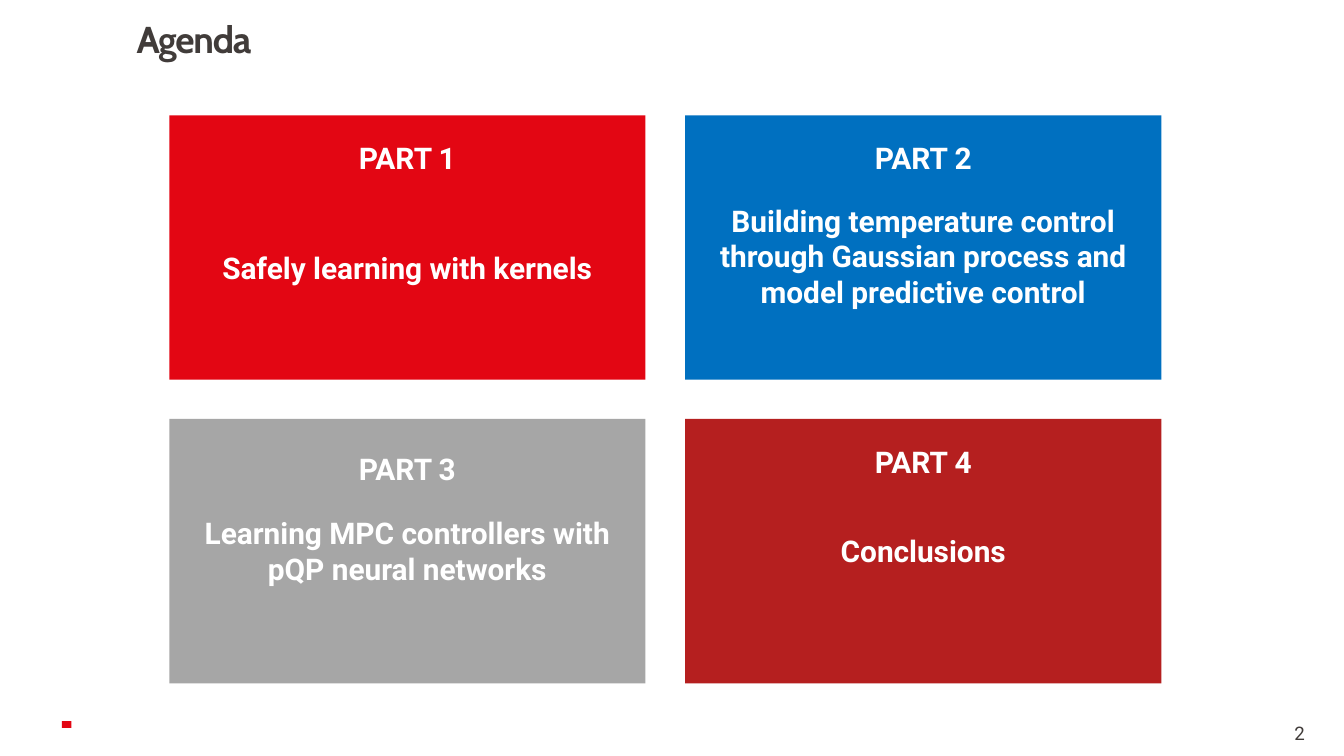
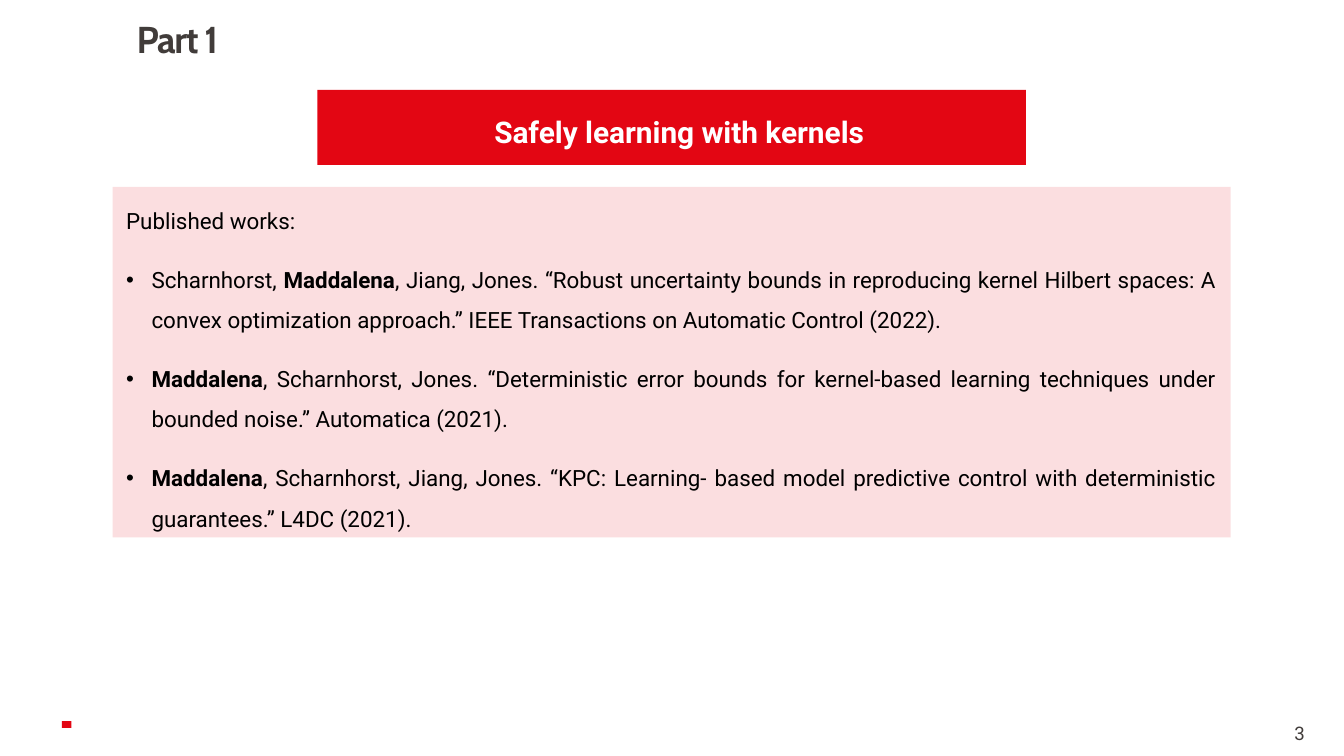
from dataclasses import dataclass

from lxml import etree
from pptx import Presentation
from pptx.dml.color import RGBColor
from pptx.enum import shapes, text
from pptx.oxml.ns import qn
from pptx.util import Cm, Pt

# Shared look
RED = RGBColor(0xE3, 0x06, 0x13)
BLUE = RGBColor(0x00, 0x70, 0xC0)
GREY = RGBColor(0xA6, 0xA6, 0xA6)
DARK_RED = RGBColor(0xB5, 0x1F, 0x1F)
INK = RGBColor(0x41, 0x3C, 0x3A)
BLACK = RGBColor(0x00, 0x00, 0x00)
WHITE = RGBColor(0xFF, 0xFF, 0xFF)
TITLE_FONT, BODY_FONT = "Cabin", "Roboto"
CENTER = text.PP_ALIGN.CENTER
TITLE_ONLY, TITLE_AND_CONTENT = 5, 1

# Agenda grid, in cm
CARD_W, CARD_H = 9, 5
GRID_LEFT, GRID_TOP = 3.2, 2.18
COLUMN_STEP, ROW_STEP = 9.75, 5.74
HEADING_LINE = Pt(32.4)


@dataclass
class Part:
    heading: str
    topic: str
    color: RGBColor
    topic_top: float  # below the top of the card
    topic_height: float
    inset_top: float = 0
    topic_spacing: float = 1.0


PARTS = [
    Part("PART 1", "Safely learning with kernels", RED, 2.08, 1.19, topic_spacing=1.5),
    Part("PART 2", "Building temperature control through Gaussian process and "
         "model predictive control", BLUE, 1.52, 2.31),
    Part("PART 3", "Learning MPC controllers with pQP neural networks",
         GREY, 1.68, 1.63, inset_top=0.13),
    Part("PART 4", "Conclusions", DARK_RED, 2.03, 0.94),
]

# Each work: text before the highlighted author, the author, the rest
WORKS = [
    ("Scharnhorst, ", "Maddalena",
     ", Jiang, Jones. “Robust uncertainty bounds in reproducing kernel Hilbert spaces: "
     "A convex optimization approach.” IEEE Transactions on Automatic Control (2022)."),
    ("", "Maddalena",
     ", Scharnhorst, Jones. “Deterministic error bounds for kernel-based learning "
     "techniques under bounded noise.” Automatica (2021)."),
    ("", "Maddalena",
     ", Scharnhorst, Jiang, Jones. “KPC: Learning- based model predictive control "
     "with deterministic guarantees.” L4DC (2021)."),
]


def place(shape, left, top, width, height):
    shape.left, shape.top = Cm(left), Cm(top)
    shape.width, shape.height = Cm(width), Cm(height)


def set_insets(frame, left, top, right, bottom):
    frame.margin_left, frame.margin_top = Cm(left), Cm(top)
    frame.margin_right, frame.margin_bottom = Cm(right), Cm(bottom)


def set_font(paragraph, size, color, bold=False, name=BODY_FONT):
    font = paragraph.font
    font.name, font.size, font.bold = name, Pt(size), bold
    font.color.rgb = color


def write_line(frame, words, size, color, bold=True, spacing=1.0):
    frame.word_wrap = True
    line = frame.paragraphs[0]
    line.text, line.alignment, line.line_spacing = words, CENTER, spacing
    set_font(line, size, color, bold)


def add_block(slide, left, top, width, height, color):
    block = slide.shapes.add_shape(shapes.MSO_SHAPE.RECTANGLE, Cm(left), Cm(top),
                                   Cm(width), Cm(height))
    block.shadow.inherit = False
    block.fill.solid()
    block.fill.fore_color.rgb = color
    block.line.fill.background()
    block.text_frame.vertical_anchor = text.MSO_ANCHOR.TOP
    return block


def add_label(slide, left, top, width, height):
    return slide.shapes.add_textbox(Cm(left), Cm(top), Cm(width), Cm(height)).text_frame


def add_slide(deck, layout, heading, number):
    """Start a slide with its title, corner mark and page number."""
    slide = deck.slides.add_slide(deck.slide_layouts[layout])
    add_block(slide, 1.17, 13.63, 0.18, 0.13, RED)

    title = slide.shapes.title
    place(title, 2.08, 0.23, 12.09, 1.12)
    frame = title.text_frame
    frame.auto_size = text.MSO_AUTO_SIZE.NONE
    frame.vertical_anchor = text.MSO_ANCHOR.MIDDLE
    set_insets(frame, 0.5, 0, 0.2, 0.13)
    line = frame.paragraphs[0]
    line.text, line.alignment = heading, text.PP_ALIGN.LEFT
    set_font(line, 20, INK, bold=True, name=TITLE_FONT)
    line._p.pPr.find(qn("a:defRPr")).set("spc", "-70")

    page = add_label(slide, 23.85, 13.64, 1.42, 0.46)
    set_insets(page, 0.25, 0, 0.25, 0)
    write_line(page, str(number), 10, INK, bold=False)
    return slide


def add_part_card(slide, index, part):
    row, column = divmod(index, 2)
    left = GRID_LEFT + column * COLUMN_STEP
    top = GRID_TOP + row * ROW_STEP
    card = add_block(slide, left, top, CARD_W, CARD_H, part.color).text_frame
    set_insets(card, 0.25, part.inset_top, 0.25, 0.3)
    write_line(card, part.heading, 16, WHITE, spacing=HEADING_LINE)
    topic = add_label(slide, left, top + part.topic_top, CARD_W, part.topic_height)
    write_line(topic, part.topic, 16, WHITE, spacing=part.topic_spacing)


def add_banner(slide, words):
    banner = add_block(slide, 6, 1.7, 13.39, 1.42, RED).text_frame
    banner.vertical_anchor = text.MSO_ANCHOR.MIDDLE
    set_insets(banner, 0.54, 0, 0.25, 0.3)
    write_line(banner, words, 16, WHITE, spacing=HEADING_LINE)


def set_bullet(paragraph, bulleted):
    properties = paragraph._p.get_or_add_pPr()
    indent = Cm(0.48) if bulleted else 0
    properties.set("marL", str(indent))
    properties.set("indent", str(-indent))
    if bulleted:
        etree.SubElement(properties, qn("a:buFont")).set("typeface", "Arial")
        etree.SubElement(properties, qn("a:buChar")).set("char", "•")
    else:
        etree.SubElement(properties, qn("a:buNone"))


def add_works(slide, intro, works):
    panel = slide.placeholders[1]
    place(panel, 2.13, 3.53, 21.13, 6.63)
    panel.fill.solid()
    panel.fill.fore_color.rgb = RED
    tint = panel._element.spPr.find(".//" + qn("a:srgbClr"))
    etree.SubElement(tint, qn("a:alpha")).set("val", "13000")

    frame = panel.text_frame
    frame.auto_size = text.MSO_AUTO_SIZE.NONE
    frame.vertical_anchor = text.MSO_ANCHOR.TOP
    for index, (before, author, after) in enumerate([(intro, "", ""), *works]):
        entry = frame.add_paragraph() if index else frame.paragraphs[0]
        entry.alignment = text.PP_ALIGN.JUSTIFY
        entry.line_spacing = 1.5
        entry.space_before, entry.space_after = Pt(0), Pt(10)
        set_bullet(entry, bulleted=index > 0)
        set_font(entry, 12, BLACK)
        for words in filter(None, (before, author, after)):
            run = entry.add_run()
            run.text = words
            if words == author:
                run.font.bold = True


def main():
    deck = Presentation()
    deck.slide_width, deck.slide_height = Cm(25.4), Cm(14.29)

    # Agenda
    agenda = add_slide(deck, TITLE_ONLY, "Agenda", 2)
    for index, part in enumerate(PARTS):
        add_part_card(agenda, index, part)

    # Part 1
    kernels = add_slide(deck, TITLE_AND_CONTENT, "Part 1", 3)
    add_banner(kernels, PARTS[0].topic)
    add_works(kernels, "Published works:", WORKS)

    deck.save("out.pptx")


if __name__ == "__main__":
    main()
